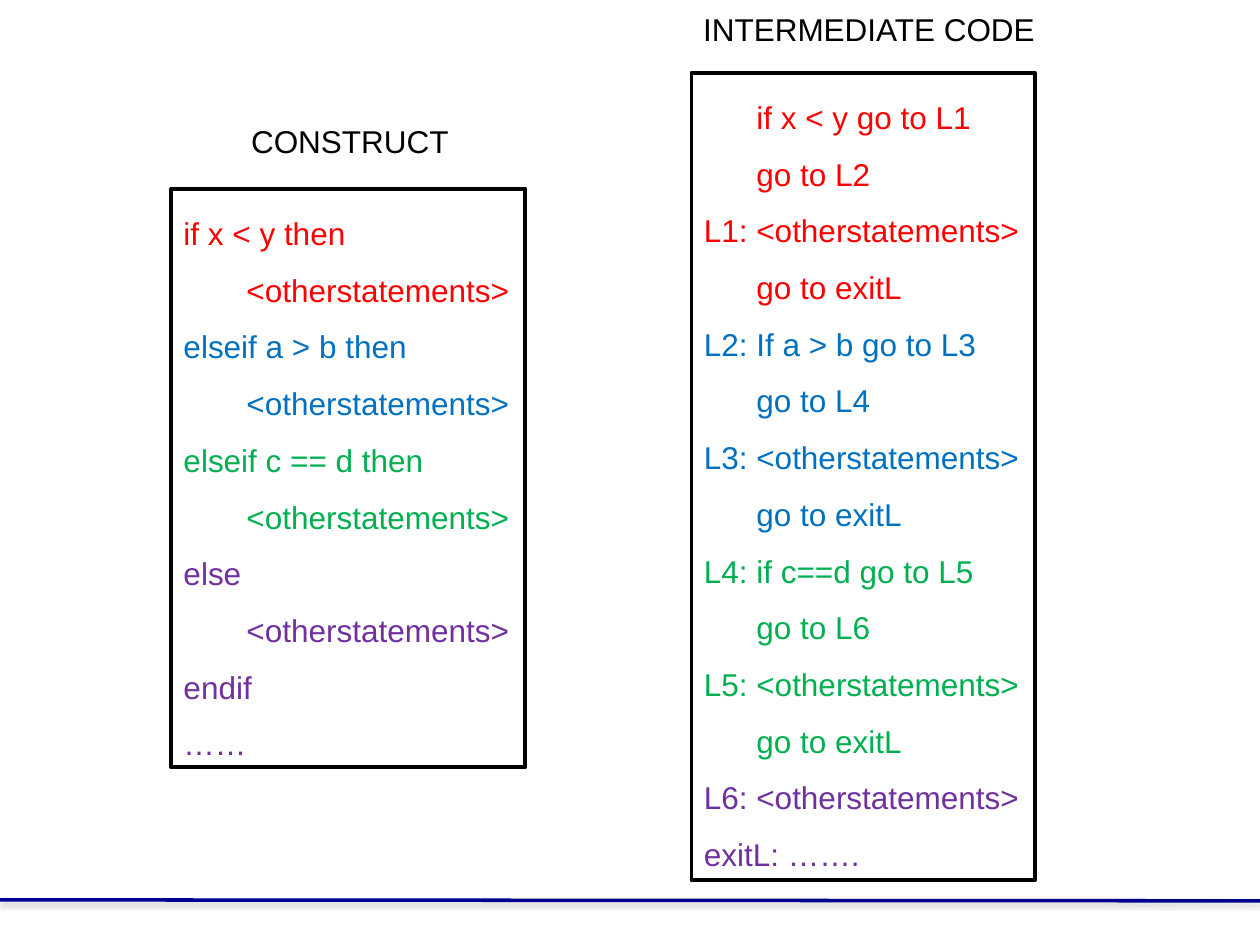
from dataclasses import dataclass

import pptx
import pptx.dml.color
import pptx.enum.shapes
import pptx.enum.text
import pptx.oxml
import pptx.util
from pptx.dml.color import RGBColor
from pptx.util import Cm

BLACK = RGBColor(0x00, 0x00, 0x00)
NAVY = RGBColor(0x00, 0x00, 0x90)
RED = RGBColor(0xFF, 0x00, 0x00)
BLUE = RGBColor(0x00, 0x70, 0xC0)
GREEN = RGBColor(0x00, 0xB0, 0x50)
PURPLE = RGBColor(0x70, 0x30, 0xA0)

SHADOW_XML = (
    '<a:outerShdw xmlns:a="http://schemas.openxmlformats.org/drawingml/2006/main"'
    ' blurRad="39370" dist="20320" dir="5400000" rotWithShape="0">'
    '<a:srgbClr val="808080"><a:alpha val="38000"/></a:srgbClr></a:outerShdw>'
)


@dataclass
class Box:
    left: float
    top: float
    width: float
    height: float

    def lengths(self) -> tuple:
        return Cm(self.left), Cm(self.top), Cm(self.width), Cm(self.height)


@dataclass
class CodeLine:
    text: str
    color: RGBColor
    indented: bool = False


@dataclass
class CodePanel:
    heading: str
    heading_box: Box
    code_box: Box
    indent: float
    lines: list[CodeLine]


OTHER = "<otherstatements>"

PANELS = [
    CodePanel(
        "CONSTRUCT", Box(4.78, 2.34, 4.55, 1.02), Box(3.45, 3.81, 7.14, 11.66), 1.27,
        [
            CodeLine("if x < y then", RED),
            CodeLine(OTHER, RED, True),
            CodeLine("elseif a > b then", BLUE),
            CodeLine(OTHER, BLUE, True),
            CodeLine("elseif c == d then", GREEN),
            CodeLine(OTHER, GREEN, True),
            CodeLine("else", PURPLE),
            CodeLine(OTHER, PURPLE, True),
            CodeLine("endif", PURPLE),
            CodeLine("……", PURPLE),
        ],
    ),
    CodePanel(
        "INTERMEDIATE CODE", Box(13.89, 0.08, 7.26, 1.02), Box(13.94, 1.47, 6.93, 16.28), 1.06,
        [
            CodeLine("if x < y go to L1", RED, True),
            CodeLine("go to L2", RED, True),
            CodeLine(f"L1: {OTHER}", RED),
            CodeLine("go to exitL", RED, True),
            CodeLine("L2: If a > b go to L3", BLUE),
            CodeLine("go to L4", BLUE, True),
            CodeLine(f"L3: {OTHER}", BLUE),
            CodeLine("go to exitL", BLUE, True),
            CodeLine("L4: if c==d go to L5", GREEN),
            CodeLine("go to L6", GREEN, True),
            CodeLine(f"L5: {OTHER}", GREEN),
            CodeLine("go to exitL", GREEN, True),
            CodeLine(f"L6: {OTHER}", PURPLE),
            CodeLine("exitL: …….", PURPLE),
        ],
    ),
]


def prepare_frame(frame) -> None:
    frame.word_wrap = False
    frame.auto_size = pptx.enum.text.MSO_AUTO_SIZE.SHAPE_TO_FIT_TEXT
    frame.vertical_anchor = pptx.enum.text.MSO_ANCHOR.TOP


def write_paragraph(paragraph, text: str, color: RGBColor, alignment) -> None:
    paragraph.text = text
    paragraph.alignment = alignment
    paragraph.font.name = "Arial"
    paragraph.font.size = pptx.util.Pt(18)
    paragraph.font.color.rgb = color


def draw_panel(slide, panel: CodePanel) -> None:
    # Heading
    heading = slide.shapes.add_textbox(*panel.heading_box.lengths())
    prepare_frame(heading.text_frame)
    write_paragraph(heading.text_frame.paragraphs[0], panel.heading, BLACK,
                    pptx.enum.text.PP_ALIGN.CENTER)

    # Framed code
    shape = slide.shapes.add_shape(
        pptx.enum.shapes.MSO_SHAPE.RECTANGLE, *panel.code_box.lengths())
    shape.shadow.inherit = False
    shape.fill.background()
    shape.line.color.rgb = BLACK
    shape.line.width = pptx.util.Pt(2.25)
    frame = shape.text_frame
    prepare_frame(frame)
    for index, line in enumerate(panel.lines):
        paragraph = frame.add_paragraph() if index else frame.paragraphs[0]
        write_paragraph(paragraph, line.text, line.color, pptx.enum.text.PP_ALIGN.LEFT)
        paragraph.line_spacing = 1.5
        if line.indented:
            properties = paragraph._p.get_or_add_pPr()
            properties.set("marL", str(Cm(panel.indent)))
            properties.set("indent", "0")


def draw_footer_line(slide) -> None:
    connector = slide.shapes.add_connector(
        pptx.enum.shapes.MSO_CONNECTOR.STRAIGHT, Cm(0), Cm(18.14), Cm(25.4), Cm(18.16))
    connector.line.color.rgb = NAVY
    connector.line.width = pptx.util.Pt(2)
    effects = pptx.oxml.parse_xml(
        '<a:effectLst xmlns:a="http://schemas.openxmlformats.org/drawingml/2006/main"/>')
    effects.append(pptx.oxml.parse_xml(SHADOW_XML))
    connector._element.spPr.append(effects)


def main() -> None:
    presentation = pptx.Presentation()
    presentation.slide_width = Cm(25.4)
    presentation.slide_height = Cm(19.05)
    slide = presentation.slides.add_slide(presentation.slide_layouts[6])
    draw_footer_line(slide)
    for panel in PANELS:
        draw_panel(slide, panel)
    presentation.save("out.pptx")


if __name__ == "__main__":
    main()
